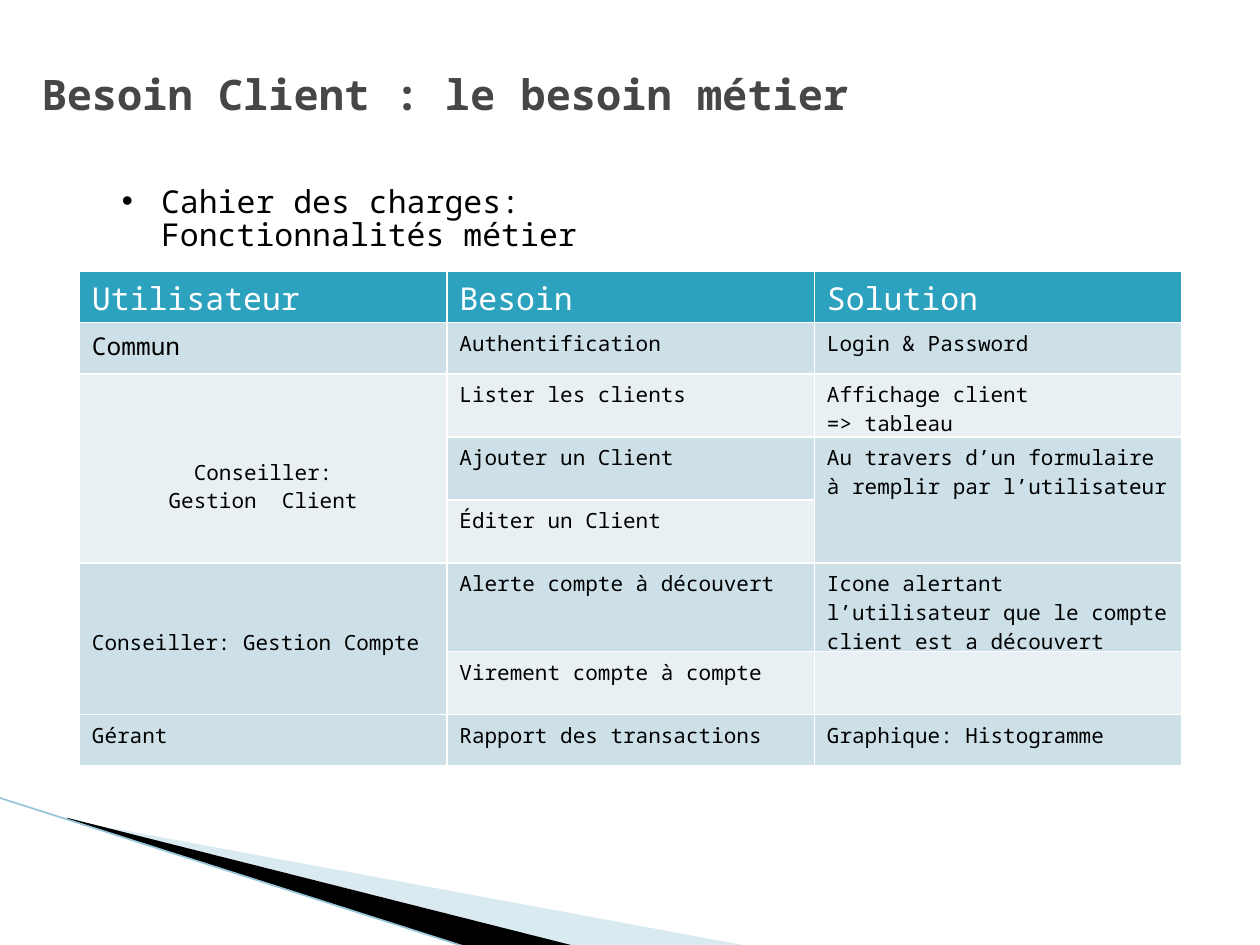
"""Build the slide on the business needs of the client, on a grid of 1000 columns by 750 rows."""
from lxml.etree import SubElement
from pptx import Presentation
from pptx.dml.color import RGBColor
from pptx.enum.shapes import MSO_CONNECTOR as Connector
from pptx.enum.text import MSO_ANCHOR as Anchor, MSO_AUTO_SIZE as AutoSize, PP_ALIGN as Align
from pptx.oxml import parse_xml
from pptx.oxml.ns import nsdecls, qn
from pptx.util import Inches, Pt

UNIT = Inches(10) // 1000
TEAL, PALE, PALER = "2DA2BF", "CDE0E8", "E8F0F4"


def color(text):
    return RGBColor.from_string(text)


def write(frame, text, size=12, ink="000000", bold=False, align=Align.LEFT, spacing=None, bullet=None):
    frame.text = text
    for para in frame.paragraphs:
        para.alignment = align
        if spacing:
            para.line_spacing = spacing
        if bullet:
            properties = para._p.get_or_add_pPr()
            properties.set("marL", str(31 * UNIT))
            properties.set("indent", str(-31 * UNIT))
            SubElement(properties, qn("a:buFont")).set("typeface", "Arial")
            SubElement(properties, qn("a:buChar")).set("char", bullet)
        for span in para.runs:
            span.font.name = "Noto Sans Mono"
            span.font.size = Pt(size)
            span.font.bold = bold
            span.font.color.rgb = color(ink)


deck = Presentation()
deck.slide_width, deck.slide_height = 1000 * UNIT, 750 * UNIT
page = deck.slides.add_slide(deck.slide_layouts[5])

wedges = [
    ("A0CBDC", 40, [(55, 651), (595, 751), (456, 751), (55, 650)]),
    ("000000", 100, [(53, 649), (457, 751), (372, 752), (54, 650)]),
]
for fill, opacity, points in wedges:
    builder = page.shapes.build_freeform(*points[0], scale=UNIT)
    builder.add_line_segments(points[1:], close=True)
    wedge = builder.convert_to_shape()
    wedge.shadow.inherit = False
    wedge.line.fill.background()
    wedge.fill.solid()
    wedge.fill.fore_color.rgb = color(fill)
    if opacity < 100:
        tint = wedge._element.spPr.find(".//" + qn("a:srgbClr"))
        SubElement(tint, qn("a:alpha")).set("val", str(opacity * 1000))

edge = page.shapes.add_connector(Connector.STRAIGHT, -UNIT, 633 * UNIT, 371 * UNIT, 752 * UNIT)
edge.line.color.rgb = color("97C5D8")
edge.line.width = Pt(0.95)
SubElement(edge._element.spPr, qn("a:effectLst"))

title = page.shapes.title
title.left, title.top, title.width, title.height = 23 * UNIT, 30 * UNIT, 900 * UNIT, 89 * UNIT
title.text_frame.vertical_anchor = Anchor.MIDDLE
write(title.text_frame, "Besoin Client : le besoin métier", size=24, ink="464646", bold=True)

box = page.shapes.add_textbox(87 * UNIT, 143 * UNIT, 574 * UNIT, 40 * UNIT)
box.text_frame.word_wrap = True
box.text_frame.auto_size = AutoSize.SHAPE_TO_FIT_TEXT
write(box.text_frame, "Cahier des charges: Fonctionnalités métier", size=18, spacing=0.89, bullet="•")

rows = [
    (41, "Utilisateur", "Besoin", "Solution"),
    (41, "Commun", "Authentification", "Login & Password"),
    (50, "Conseiller:\nGestion  Client", "Lister les clients", "Affichage client\n=> tableau"),
    (50, "", "Ajouter un Client", "Au travers d’un formulaire à remplir par l’utilisateur"),
    (50, "", "Éditer un Client", ""),
    (70, "Conseiller: Gestion Compte", "Alerte compte à découvert",
     "Icone alertant l’utilisateur que le compte client est a découvert"),
    (50, "", "Virement compte à compte", ""),
    (41, "Gérant", "Rapport des transactions", "Graphique: Histogramme"),
]
height = sum(row[0] for row in rows)
table = page.shapes.add_table(len(rows), 3, 63 * UNIT, 215 * UNIT, 875 * UNIT, height * UNIT).table
for column in table.columns:
    column.width = 875 * UNIT // 3

for r, (row_height, *texts) in enumerate(rows):
    table.rows[r].height = row_height * UNIT
    for c, text in enumerate(texts):
        cell = table.cell(r, c)
        cell.margin_top, cell.margin_bottom = 5 * UNIT, 0
        for side in ("lnL", "lnR", "lnT", "lnB"):
            cell._tc.get_or_add_tcPr().append(parse_xml(
                f'<a:{side} {nsdecls("a")} w="{Pt(1)}"><a:solidFill>'
                f'<a:srgbClr val="FFFFFF"/></a:solidFill></a:{side}>'))
        cell.fill.solid()
        cell.fill.fore_color.rgb = color(TEAL if r == 0 else PALE if r % 2 else PALER)
        size = 18 if r == 0 else 14 if (r, c) == (1, 0) else 12
        write(cell.text_frame, text, size=size, ink="000000" if r else "FFFFFF",
              align=Align.CENTER if (r, c) == (2, 0) else Align.LEFT)

for first, last, column in [(2, 4, 0), (3, 4, 2), (5, 6, 0)]:
    table.cell(first, column).merge(table.cell(last, column))
for row in (2, 5):
    table.cell(row, 0).vertical_anchor = Anchor.MIDDLE
table.cell(2, 0).margin_top = 28 * UNIT

deck.save("out.pptx")
